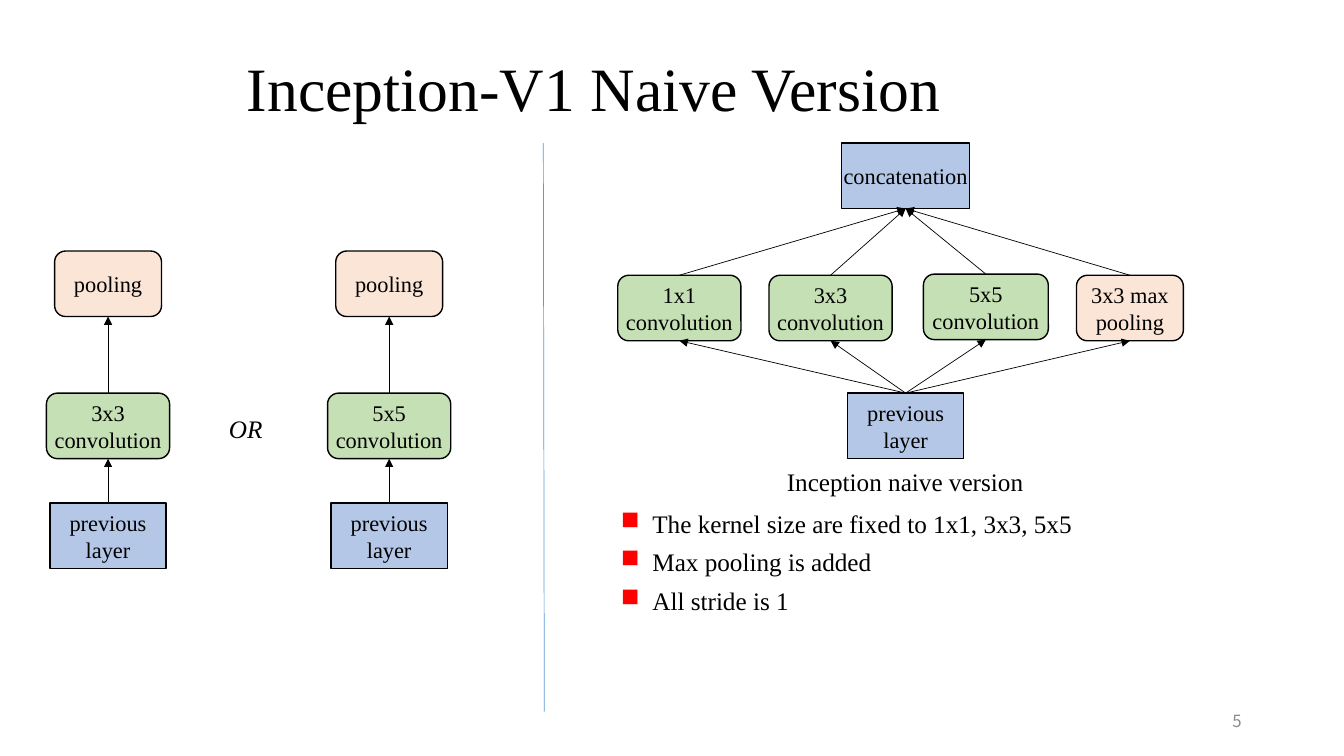
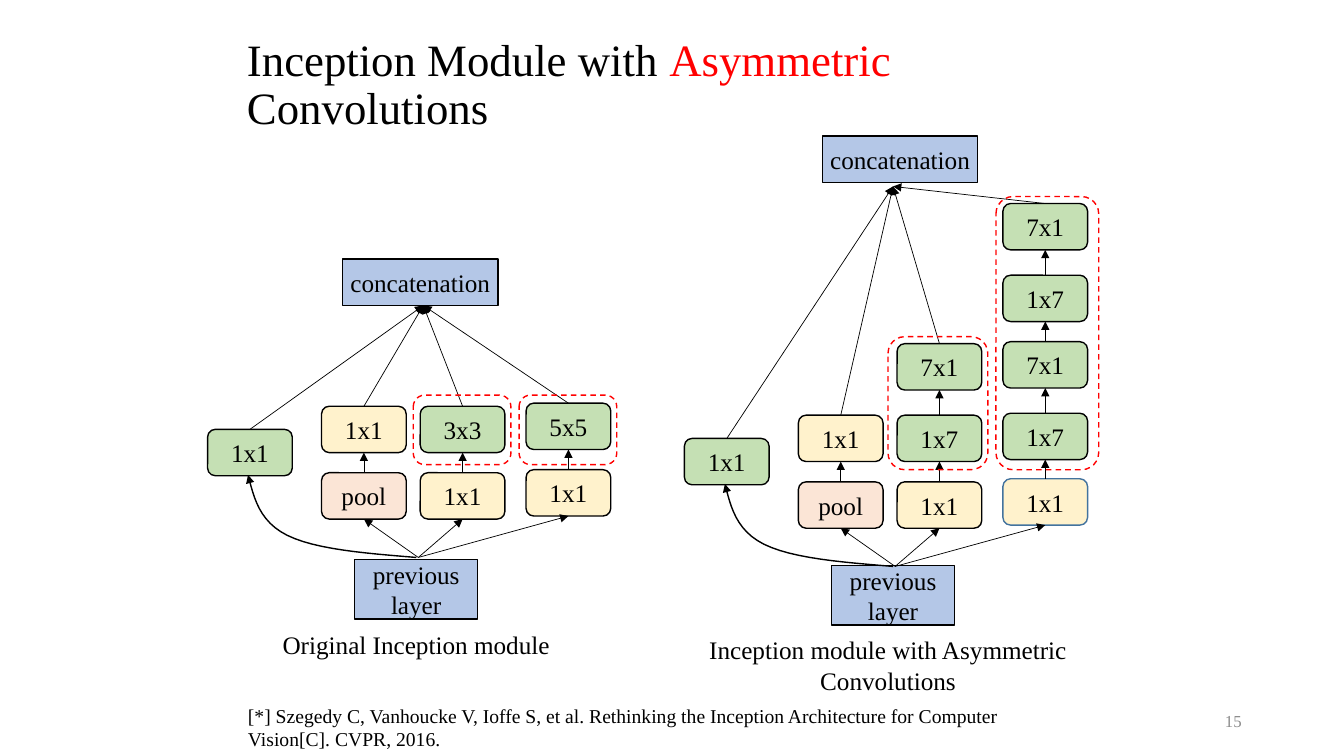
import lxml.etree
import pptx
import pptx.dml.color
import pptx.enum.dml
import pptx.enum.shapes
import pptx.enum.text
import pptx.oxml.ns
import pptx.util

Pt = pptx.util.Pt
qn = pptx.oxml.ns.qn
RGB = pptx.dml.color.RGBColor.from_string
Kind = pptx.enum.shapes.MSO_SHAPE
Align = pptx.enum.text.PP_ALIGN
Anchor = pptx.enum.text.MSO_ANCHOR


class Theme:
    black = "000000"
    red = "FF0000"
    grey = "8C8C8C"
    blue = "B4C7E7"
    green = "C5E0B4"
    peach = "FBE5D6"
    cream = "FFF2CC"
    steel = "43739E"
    rule = "5B9BD5"
    font = "Times New Roman"
    sans = "Noto Sans CJK SC"
    small = 12
    cite = 14
    label = 16
    body = 18
    thin = 0.5
    edge = 1


def put(slide, kind, box, text="", fill=None, edge=Theme.black, size=Theme.body,
        align=Align.CENTER, ink=Theme.black, font=Theme.font):
    place = [Pt(v) for v in box]
    if kind is None:
        item = slide.shapes.add_textbox(*place)
    else:
        item = slide.shapes.add_shape(kind, *place)
        item.shadow.inherit = False
        item.line.color.rgb = RGB(edge)
        item.line.width = Pt(Theme.edge)
        if fill:
            item.fill.solid()
            item.fill.fore_color.rgb = RGB(fill)
        else:
            item.fill.background()
    frame = item.text_frame
    frame.word_wrap = True
    frame.vertical_anchor = Anchor.MIDDLE
    frame.margin_left = frame.margin_right = 0
    frame.text = text
    for para in frame.paragraphs:
        para.alignment = align
        for run in para.runs:
            run.font.name = font
            run.font.size = Pt(size)
            run.font.color.rgb = RGB(ink)
    return item


def link(slide, start, end, ink=Theme.black):
    first = start if isinstance(start, tuple) else (0, 0)
    last = end if isinstance(end, tuple) else (0, 0)
    line = slide.shapes.add_connector(
        pptx.enum.shapes.MSO_CONNECTOR.STRAIGHT, *[Pt(v) for v in first + last])
    if not isinstance(start, tuple):
        line.begin_connect(start, 0)
    if not isinstance(end, tuple):
        line.end_connect(end, 2)
    line.line.color.rgb = RGB(ink)
    line.line.width = Pt(Theme.thin)
    lxml.etree.SubElement(line._element.spPr, qn("a:effectLst"))
    return line


deck = pptx.Presentation()
deck.slide_width = Pt(960)
deck.slide_height = Pt(540)
arrows = []

heads = [
    ([("Inception-V1 Naive Version", Theme.black)], 44, (169.2, 28.8, 620.6, 73.4),
     "5", Theme.sans),
    ([("Inception Module with ", Theme.black), ("Asymmetric", Theme.red),
      (" Convolutions", Theme.black)], 32, (169.2, 25.9, 655.2, 71.3),
     "15", Theme.font),
]
for parts, size, box, number, font in heads:
    slide = deck.slides.add_slide(deck.slide_layouts[5])
    title = slide.shapes.title
    title.left, title.top, title.width, title.height = [Pt(v) for v in box]
    frame = title.text_frame
    frame.auto_size = pptx.enum.text.MSO_AUTO_SIZE.NONE
    frame.word_wrap = True
    frame.vertical_anchor = Anchor.MIDDLE
    frame.margin_right = Pt(18)
    para = frame.paragraphs[0]
    para.alignment = Align.LEFT
    para.line_spacing = 0.9
    for text, ink in parts:
        run = para.add_run()
        run.text = text
        run.font.name = Theme.font
        run.font.size = Pt(size)
        run.font.color.rgb = RGB(ink)
    put(slide, None, (678.2, 500.4, 208.8, 28.8), number, size=Theme.small,
        align=Align.RIGHT, ink=Theme.grey, font=font)

naive, split = deck.slides

tall = 46.8
for mid, name in ((77.2, "3x3 convolution"), (278, "5x5 convolution")):
    below = None
    for text, kind, wide, top, fill in (
            ("previous layer", Kind.RECTANGLE, 83, 359.3, Theme.blue),
            (name, Kind.ROUNDED_RECTANGLE, 88, 280.8, Theme.green),
            ("pooling", Kind.ROUNDED_RECTANGLE, 76.4, 179.3, Theme.peach)):
        box = put(naive, kind, (mid - wide / 2, top, wide, tall), text, fill,
                  size=Theme.label)
        if below:
            arrows.append(link(naive, below, box))
        below = box

choice = put(naive, None, (155.5, 291.6, 40, 28.8), "OR")
choice.text_frame.paragraphs[0].runs[0].font.italic = True
link(naive, (388.1, 102.2), (388.8, 508.3), Theme.rule)

root = put(naive, Kind.RECTANGLE, (605.5, 280.8, 82.8, tall), "previous layer",
           Theme.blue, size=Theme.label)
hub = put(naive, Kind.RECTANGLE, (601.2, 102.2, 91.4, tall), "concatenation",
          Theme.blue, size=Theme.label)
for mid, top, wide, text, fill in (
        (485.3, 196.6, 88, "1x1 convolution", Theme.green),
        (593.3, 196.6, 88, "3x3 convolution", Theme.green),
        (704.2, 195.8, 89.2, "5x5 convolution", Theme.green),
        (807.1, 196.6, 76.4, "3x3 max pooling", Theme.peach)):
    box = put(naive, Kind.ROUNDED_RECTANGLE, (mid - wide / 2, top, wide, tall), text,
              fill, size=Theme.label)
    arrows += [link(naive, root, box), link(naive, box, hub)]

put(naive, None, (551.5, 329.8, 190.1, 28.8), "Inception naive version")
notes = put(naive, None, (443.5, 359.3, 338.4, 85),
            "The kernel size are fixed to 1x1, 3x3, 5x5\nMax pooling is added\nAll stride is 1",
            align=Align.LEFT)
notes.text_frame.vertical_anchor = Anchor.TOP
for para in notes.text_frame.paragraphs:
    props = para._p.get_or_add_pPr()
    props.set("marL", str(Pt(22.5)))
    props.set("indent", str(Pt(-22.5)))
    tint = lxml.etree.SubElement(props, qn("a:buClr"))
    lxml.etree.SubElement(tint, qn("a:srgbClr")).set("val", Theme.red)
    lxml.etree.SubElement(props, qn("a:buChar")).set("char", "■")
    para.space_after = Pt(6)

wide, tall = 60.5, 33.1
lanes = (148.3, 229.7, 300.2, 375.8)
bend = ((0, 0), (-36, -2.9), (-72, -5.8), (-92.2, -15.8),
        (-112.3, -25.9), (-115.9, -42.5), (-120.2, -59))
green, cream, peach = Theme.green, Theme.cream, Theme.peach
plans = [
    dict(shift=0, hub=(302.4, 218.2), root=(298.8, 398.2),
         concat=(244.8, 185), base=(253.4, 399.6),
         stacks=[
             [("1x1", 306.7, green)],
             [("pool", 337.7, peach), ("1x1", 290.2, cream)],
             [("1x1", 337.7, cream), ("3x3", 290.2, green)],
             [("1x1", 335.5, cream), ("5x5", 288, green)]],
         rings=[(295.2, 282.2, 69.8, 49.7), (370.8, 282.2, 69.8, 49.7)],
         note="Original Inception module", spot=(127.4, 445.7, 339.8, 28.8)),
    dict(shift=340.6, hub=(637.9, 133.2), root=(639.4, 404.6),
         concat=(587.5, 97.2), base=(594, 403.9),
         stacks=[
             [("1x1", 313.2, green)],
             [("pool", 344.2, peach), ("1x1", 296.6, cream)],
             [("1x1", 344.2, cream), ("1x7", 296.6, green), ("7x1", 245.5, green)],
             [("1x1", 342, cream), ("1x7", 295.2, green), ("7x1", 244.1, green),
              ("1x7", 196.6, green), ("7x1", 145.4, green)]],
         rings=[(711.4, 140.4, 73.4, 195.1), (634.3, 240.5, 71.3, 95)],
         note="Inception module with Asymmetric Convolutions",
         spot=(464.4, 449.3, 339.8, 51.1)),
]
for plan in plans:
    put(split, Kind.RECTANGLE, plan["concat"] + (110.9, tall), "concatenation", Theme.blue)
    put(split, Kind.RECTANGLE, plan["base"] + (87.8, 42.5), "previous layer", Theme.blue)
    for lane, stack in zip(lanes, plan["stacks"]):
        below = plan["root"]
        for text, top, fill in stack:
            box = put(split, Kind.ROUNDED_RECTANGLE,
                      (lane + plan["shift"], top, wide, tall), text, fill)
            if lane != lanes[0]:
                arrows.append(link(split, below, box))
            below = box
        arrows.append(link(split, below, plan["hub"]))
    if plan["shift"]:
        first = plan["stacks"][-1][0]
        for box in split.shapes:
            if box.top == Pt(first[1]) and box.left == Pt(lanes[-1] + plan["shift"]):
                box.line.color.rgb = RGB(Theme.steel)

    left, top = plan["root"][0] - 1.4, plan["root"][1]
    dots = []
    for part in (bend[:4], bend[3:]):
        for step in range(1, 13):
            t = step / 12
            mix = ((1 - t) ** 3, 3 * t * (1 - t) ** 2, 3 * t * t * (1 - t), t ** 3)
            dots.append((Pt(left + sum(m * p[0] for m, p in zip(mix, part))),
                         Pt(top + sum(m * p[1] for m, p in zip(mix, part)))))
    pen = split.shapes.build_freeform(Pt(left), Pt(top))
    pen.add_line_segments(dots, close=False)
    curve = pen.convert_to_shape()
    curve.fill.background()
    curve.line.color.rgb = RGB(Theme.black)
    curve.line.width = Pt(Theme.edge)
    curve.shadow.inherit = False
    arrows.append(curve)

    for ring in plan["rings"]:
        box = put(split, Kind.ROUNDED_RECTANGLE, ring, edge=Theme.red)
        box.line.dash_style = pptx.enum.dml.MSO_LINE.DASH
    put(split, None, plan["spot"], plan["note"])

put(split, None, (177.1, 499, 574.6, 41),
    "[*] Szegedy C, Vanhoucke V, Ioffe S, et al. Rethinking the Inception Architecture "
    "for Computer Vision[C]. CVPR, 2016.", size=Theme.cite, align=Align.LEFT)

for arrow in arrows:
    line = arrow._element.spPr.find(qn("a:ln"))
    lxml.etree.SubElement(line, qn("a:tailEnd")).set("type", "triangle")

deck.save("out.pptx")
